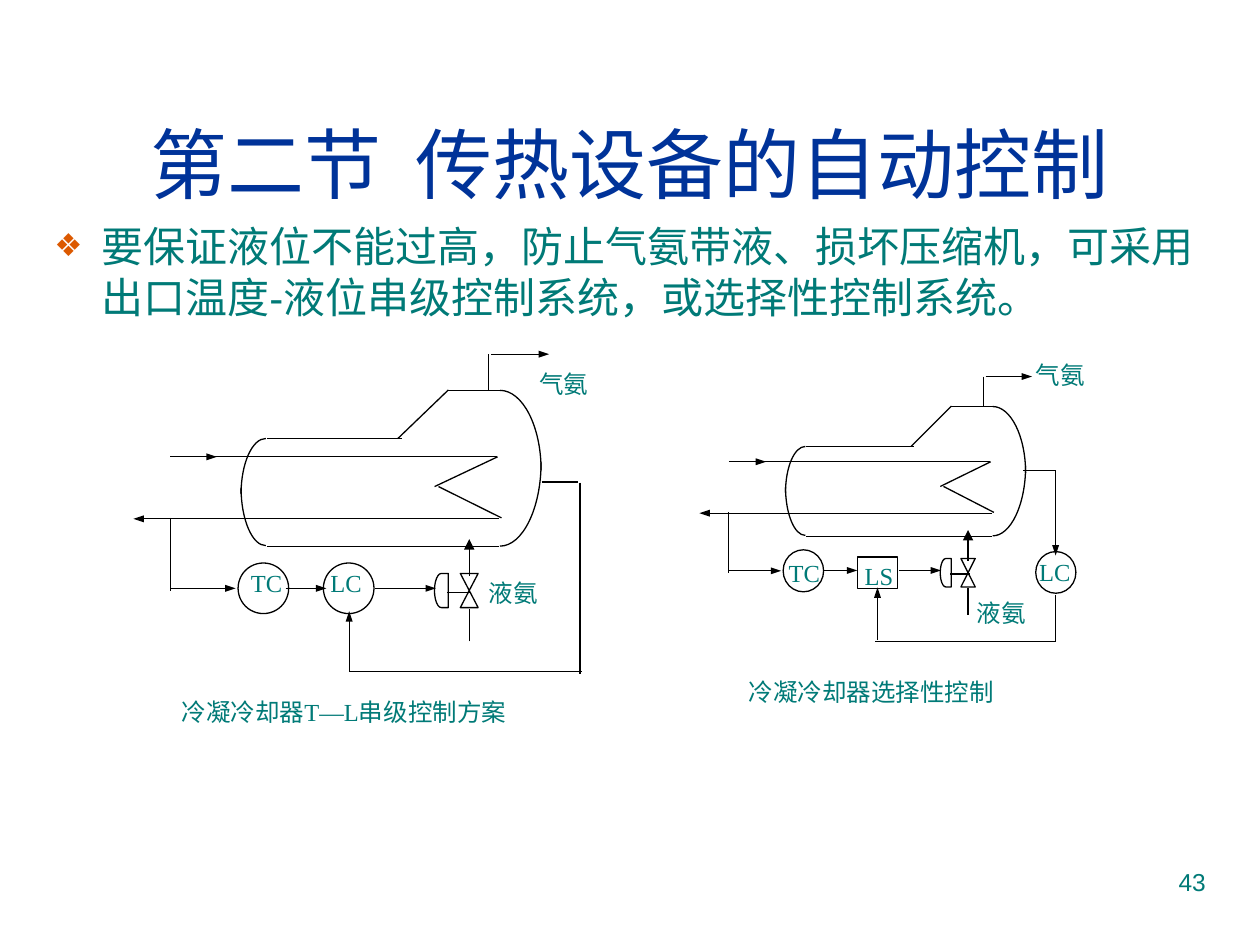
from typing import NamedTuple

from lxml import etree
from pptx import Presentation
from pptx import util as u
from pptx.dml.color import RGBColor
from pptx.enum import shapes, text
from pptx.oxml.ns import qn

COLORS = {
    "title": "003399",
    "text": "007A77",
    "bullet": "DC5900",
    "line": "000000",
    "fill": "FFFFFF",
}
KIND = shapes.MSO_SHAPE


class Box(NamedTuple):
    left: float
    top: float
    scale_x: float = 1
    scale_y: float = 1

    def point(self, x, y):
        return u.Cm(self.left + x * self.scale_x), u.Cm(self.top + y * self.scale_y)

    def size(self, width, height):
        return u.Cm(width * self.scale_x), u.Cm(height * self.scale_y)


def color(name):
    return RGBColor.from_string(COLORS[name])


def format_text(paragraph, font_name, size, color_name, alignment):
    paragraph.alignment = alignment
    for run in paragraph.runs:
        run.font.name = font_name
        run.font.size = u.Pt(size)
        run.font.color.rgb = color(color_name)


def outline(shape):
    shape.line.color.rgb = color("line")
    shape.line.width = u.Pt(0.75)


def add_lines(parent, box, lines, arrow_width=None):
    for start, end in lines:
        connector = parent.shapes.add_connector(
            shapes.MSO_CONNECTOR.STRAIGHT, *box.point(*start), *box.point(*end))
        outline(connector)
        properties = connector._element.spPr
        if arrow_width:
            etree.SubElement(properties.find(qn("a:ln")), qn("a:tailEnd"),
                             type="triangle", w=arrow_width, len="med")
        etree.SubElement(properties, qn("a:effectLst"))


def add_symbol(parent, box, kind, x, y, width, height):
    shape = parent.shapes.add_shape(kind, *box.point(x, y), *box.size(width, height))
    shape.shadow.inherit = False
    shape.fill.solid()
    shape.fill.fore_color.rgb = color("fill")
    outline(shape)
    return shape


def add_quarter_arc(parent, box, center, radius_x, radius_y):
    x, y = center
    handle = 0.55
    builder = parent.shapes.build_freeform(*box.point(x, y + radius_y))
    builder.add_line_segments([
        box.point(x + handle * radius_x, y + radius_y),
        box.point(x + radius_x, y + handle * radius_y),
        box.point(x + radius_x, y),
    ], close=False)
    shape = builder.convert_to_shape()
    shape.shadow.inherit = False
    shape.fill.background()
    outline(shape)
    outline_path = next(shape._element.iter(qn("a:path")))
    curve = etree.SubElement(outline_path, qn("a:cubicBezTo"))
    for segment in outline_path.findall(qn("a:lnTo")):
        curve.append(segment[0])
        outline_path.remove(segment)


def add_label(parent, box, words, x, y, width, height, font_name="Times New Roman",
              alignment=text.PP_ALIGN.JUSTIFY):
    label = parent.shapes.add_textbox(*box.point(x, y), *box.size(width, height))
    label.text_frame.word_wrap = True
    label.text_frame.text = words
    format_text(label.text_frame.paragraphs[0], font_name, 14, "text", alignment)


def add_condenser(group, box):
    add_symbol(group, box, KIND.OVAL, 2.11, 4.21, 1.02, 1.02)
    add_symbol(group, box, KIND.FLOWCHART_COLLATE, 6.59, 4.42, 0.36, 0.69)
    actuator = add_symbol(group, box, KIND.FLOWCHART_DELAY, 6.07, 4.42, 0.28, 0.69)
    actuator._element.spPr.find(qn("a:xfrm")).set("flipH", "1")
    add_quarter_arc(group, box, (7.39, 2.34), 0.83, -1.61)
    add_quarter_arc(group, box, (7.39, 2.18), 0.83, 1.69)
    add_quarter_arc(group, box, (2.67, 2.82), -0.5, -1.12)
    add_quarter_arc(group, box, (2.67, 2.69), -0.5, 1.17)
    add_lines(group, box, [
        ((0.74, 3.3), (0.74, 4.78)),
        ((6.81, 4.8), (6.32, 4.8)),
        ((7.16, 0), (7.16, 0.73)),
        ((7.32, 2.07), (0.74, 2.07)),
        ((2.69, 1.7), (5.41, 1.7)),
        ((2.69, 3.88), (7.37, 3.88)),
        ((6.35, 0.73), (7.44, 0.73)),
        ((6.35, 0.72), (5.33, 1.7)),
        ((7.34, 2.07), (6.07, 2.67)),
        ((6.15, 2.67), (7.42, 3.3)),
        ((6.77, 5.79), (6.77, 5.13)),
    ])
    add_lines(group, box, [
        ((0.74, 4.72), (2.06, 4.72)),
        ((7.37, 3.32), (0, 3.32)),
        ((7.21, 0), (8.38, 0)),
        ((0.74, 2.07), (1.68, 2.07)),
    ], "sm")
    add_lines(group, box, [((6.77, 4.47), (6.77, 3.73))], "med")


def add_cascade_diagram(slide, box):
    group = slide.shapes.add_group_shape()
    add_condenser(group, box)
    add_symbol(group, box, KIND.OVAL, 3.83, 4.21, 1.02, 1.02)
    add_lines(group, box, [
        ((4.35, 6.4), (9.04, 6.4)),
        ((9, 2.59), (9, 6.45)),
        ((8.23, 2.58), (8.97, 2.58)),
    ])
    add_lines(group, box, [
        ((4.87, 4.72), (6.1, 4.72)),
        ((3.07, 4.72), (3.89, 4.72)),
        ((4.35, 6.38), (4.35, 5.18)),
    ], "sm")
    add_label(group, box, "气氨", 7.93, 0.18, 2.26, 1.24)
    add_label(group, box, "液氨", 6.91, 4.39, 1.63, 1.32)
    add_label(group, box, "TC", 2.12, 4.19, 1.37, 1.32)
    add_label(group, box, "LC", 3.72, 4.19, 1.37, 1.32)
    add_label(group, box, "冷凝冷却器T—L串级控制方案", 0.72, 6.78, 7.59, 0.91)


def add_selective_diagram(slide, box):
    group = slide.shapes.add_group_shape()
    add_condenser(group, box._replace(scale_x=0.8, scale_y=0.83))
    add_symbol(group, box, KIND.RECTANGLE, 3.18, 3.64, 0.81, 0.64)
    add_symbol(group, box, KIND.OVAL, 6.78, 3.53, 0.81, 0.84)
    add_lines(group, box, [
        ((7.18, 1.9), (6.53, 1.9)),
        ((7.16, 5.34), (3.53, 5.34)),
        ((7.18, 4.4), (7.18, 5.36)),
    ])
    add_lines(group, box, [
        ((4.02, 3.91), (4.87, 3.91)),
        ((2.49, 3.91), (3.18, 3.91)),
        ((7.18, 1.91), (7.18, 3.61)),
        ((3.59, 5.31), (3.59, 4.25)),
    ], "sm")
    add_label(group, box, "冷凝冷却器选择性控制", 0.74, 5.93, 6.2, 1.19)
    add_label(group, box, "TC", 1.55, 3.53, 1.3, 1.02)
    add_label(group, box, "LS", 3.08, 3.59, 1.4, 1.5)
    add_label(group, box, "液氨", 5.34, 4.34, 1.73, 1.12)
    add_label(group, box, "LC", 6.6, 3.51, 1.27, 0.94)
    add_label(group, box, "气氨", 6.53, -0.46, 1.6, 1.5)


def place(shape, box, width, height):
    shape.left, shape.top = box.point(0, 0)
    shape.width, shape.height = box.size(width, height)


def add_title(slide, box):
    title = slide.shapes.title
    place(title, box, 23.72, 3.18)
    title.text_frame.text = "第二节  传热设备的自动控制"
    title.text_frame.vertical_anchor = text.MSO_ANCHOR.MIDDLE
    format_text(title.text_frame.paragraphs[0], "Arial", 44, "title", text.PP_ALIGN.CENTER)


def add_body(slide, box):
    body = slide.placeholders[1]
    place(body, box, 23.72, 11.66)
    body.text_frame.text = (
        "要保证液位不能过高，防止气氨带液、损坏压缩机，"
        "可采用出口温度-液位串级控制系统，或选择性控制系统。")
    paragraph = body.text_frame.paragraphs[0]
    properties = paragraph._p.get_or_add_pPr()
    properties.set("marL", str(u.Cm(0.95)))
    properties.set("indent", str(u.Cm(-0.95)))
    bullet_color = etree.SubElement(properties, qn("a:buClr"))
    etree.SubElement(bullet_color, qn("a:srgbClr"), val=COLORS["bullet"])
    etree.SubElement(properties, qn("a:buSzPct"), val="75000")
    etree.SubElement(properties, qn("a:buChar"), char="❖")
    paragraph.space_before = u.Pt(0)
    format_text(paragraph, "Arial", 24, "text", text.PP_ALIGN.LEFT)


def main():
    presentation = Presentation()
    presentation.slide_width, presentation.slide_height = u.Cm(25.4), u.Cm(19.05)
    slide = presentation.slides.add_slide(presentation.slide_layouts[1])
    add_title(slide, Box(0.84, 1.69))
    add_body(slide, Box(0.84, 4.32))
    add_cascade_diagram(slide, Box(2.69, 7.14))
    add_selective_diagram(slide, Box(14.1, 7.59))
    add_label(slide, Box(18.21, 17.35), "43", 0, 0, 6.35, 1.32, "Arial", text.PP_ALIGN.RIGHT)
    presentation.save("out.pptx")


if __name__ == "__main__":
    main()
